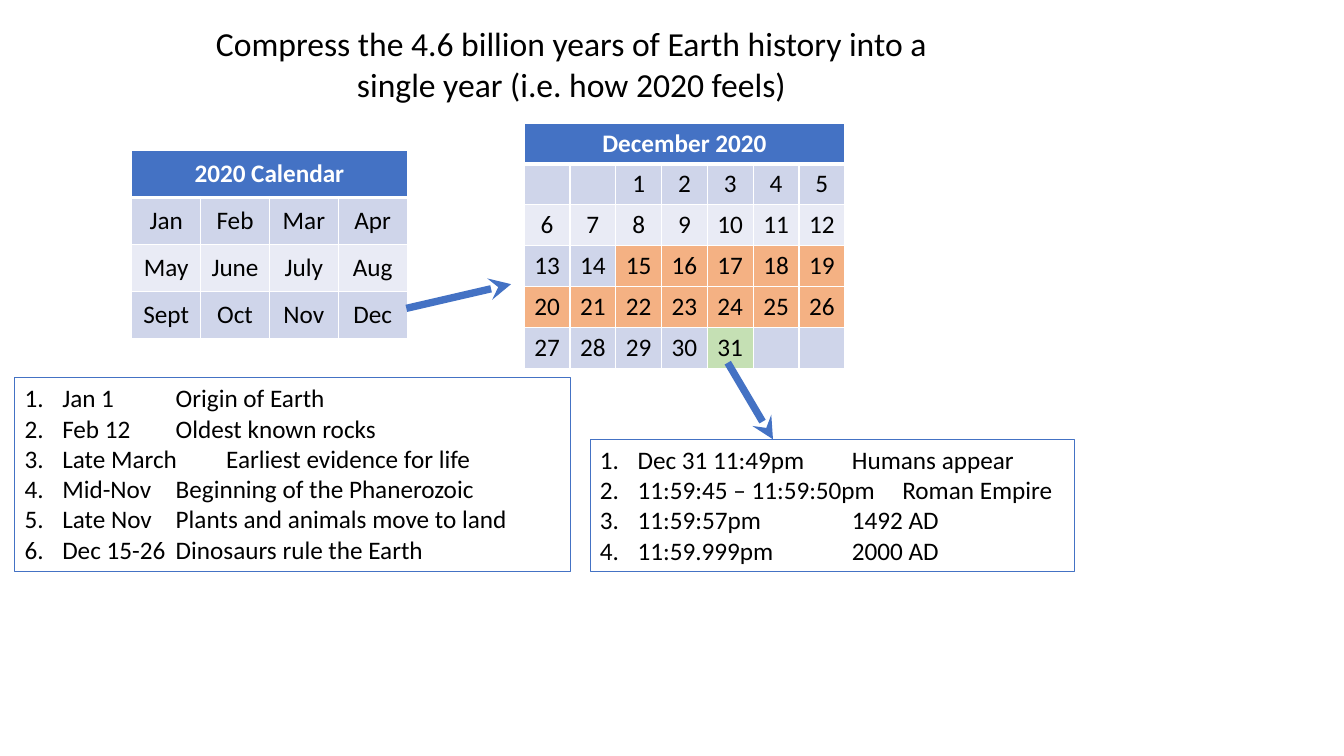
from dataclasses import dataclass

from lxml.etree import SubElement
from pptx import Presentation
from pptx.dml.color import RGBColor
from pptx.enum.shapes import MSO_CONNECTOR as Connector
from pptx.enum.text import MSO_ANCHOR as Anchor, MSO_AUTO_SIZE as AutoSize, PP_ALIGN as Align
from pptx.oxml.ns import qn
from pptx.util import Cm, Pt

TITLE = ("Compress the 4.6 billion years of Earth history into a single year "
         "(i.e. how 2020 feels)")
MONTHS = [
    ["Jan", "Feb", "Mar", "Apr"],
    ["May", "June", "July", "Aug"],
    ["Sept", "Oct", "Nov", "Dec"],
]
FIRST_WEEKDAY, DAYS, WEEK = 2, 31, 7
DINOSAUR_DAYS = range(15, 27)
LAST_DAY = 31

# Tabs move to default stops, one inch apart.
YEAR_EVENTS = [
    "Jan 1\t\tOrigin of Earth",
    "Feb 12\tOldest known rocks",
    "Late March\tEarliest evidence for life",
    "Mid-Nov\tBeginning of the Phanerozoic",
    "Late Nov\tPlants and animals move to land",
    "Dec 15-26\tDinosaurs rule the Earth",
]
LAST_DAY_EVENTS = [
    "Dec 31 11:49pm\tHumans appear",
    "11:59:45 – 11:59:50pm\tRoman Empire",
    "11:59:57pm\t\t1492 AD",
    "11:59.999pm\t\t2000 AD",
]

# Left, top, width, height in centimetres
TITLE_BOX = (4.29, 0.46, 20.22, 2.31)
YEAR_BOX = (3.32, 3.8, 6.94, 4.72)
DECEMBER_BOX = (13.21, 3.1, 8.08, 6.1)
YEAR_EVENTS_BOX = (0.37, 9.52, 14.02, 4.88)
LAST_DAY_EVENTS_BOX = (14.87, 11.07, 12.22, 3.33)
# Start and end points in centimetres
ARROWS = [(10.24, 7.77, 12.88, 7.16), (18.34, 9.14, 19.48, 11.07)]
LIST_INDENT = Cm(0.95)


@dataclass(frozen=True)
class Theme:
    font: str = "Calibri"
    title_size: int = 24
    body_size: int = 18
    text: str = "000000"
    white: str = "FFFFFF"
    accent: str = "4472C4"
    bands: tuple = ("CFD5EA", "E9EBF5")
    dinosaurs: str = "F4B183"
    last_day: str = "C5E0B4"


THEME = Theme()


def color(value):
    return RGBColor.from_string(value)


def lengths(box):
    return [Cm(value) for value in box]


def add_run(paragraph, text, size=THEME.body_size, fill=THEME.text, bold=False):
    run = paragraph.add_run()
    run.text = text
    run.font.name = THEME.font
    run.font.size = Pt(size)
    run.font.bold = bold
    run.font.color.rgb = color(fill)


def set_borders(cell, top, bottom):
    """Give a cell white borders; top and bottom widths are in points."""
    properties = cell._tc.get_or_add_tcPr()
    widths = {"a:lnL": 1, "a:lnR": 1, "a:lnT": top, "a:lnB": bottom}
    for position, (tag, width) in enumerate(widths.items()):
        line = properties.makeelement(qn(tag), {"w": str(Pt(width))})
        fill = SubElement(line, qn("a:solidFill"))
        SubElement(fill, qn("a:srgbClr"), val=THEME.white)
        properties.insert(position, line)


def fill_cell(cell, text, fill, text_color=THEME.text, bold=False):
    cell.fill.solid()
    cell.fill.fore_color.rgb = color(fill)
    cell.vertical_anchor = Anchor.MIDDLE
    cell.margin_left = cell.margin_right = 0
    if text:
        paragraph = cell.text_frame.paragraphs[0]
        paragraph.alignment = Align.CENTER
        add_run(paragraph, text, fill=text_color, bold=bold)


def add_calendar(slide, heading, rows, box, highlights):
    column_count = len(rows[0])
    left, top, width, height = lengths(box)
    table = slide.shapes.add_table(len(rows) + 1, column_count, left, top, width, height).table
    table.horz_banding = False
    for column in table.columns:
        column.width = width // column_count
    for row in table.rows:
        row.height = height // (len(rows) + 1)
    table.cell(0, 0).merge(table.cell(0, column_count - 1))
    fill_cell(table.cell(0, 0), heading, THEME.accent, THEME.white, bold=True)
    for column in range(column_count):
        set_borders(table.cell(0, column), top=1, bottom=3)
    for row_number, row in enumerate(rows, start=1):
        band = THEME.bands[(row_number - 1) % 2]
        for column, text in enumerate(row):
            cell = table.cell(row_number, column)
            fill_cell(cell, text, highlights.get(text, band))
            set_borders(cell, top=3 if row_number == 1 else 1, bottom=1)


def add_event_list(slide, events, box):
    shape = slide.shapes.add_textbox(*lengths(box))
    shape.line.color.rgb = color(THEME.accent)
    shape.line.width = Pt(0.75)
    frame = shape.text_frame
    frame.word_wrap = True
    frame.margin_right = 0
    for number, event in enumerate(events):
        paragraph = frame.add_paragraph() if number else frame.paragraphs[0]
        properties = paragraph._p.get_or_add_pPr()
        properties.set("marL", str(LIST_INDENT))
        properties.set("indent", str(-LIST_INDENT))
        SubElement(properties, qn("a:buFont"), typeface="+mj-lt")
        SubElement(properties, qn("a:buAutoNum"), type="arabicPeriod")
        add_run(paragraph, event)


def add_arrow(slide, points):
    arrow = slide.shapes.add_connector(Connector.STRAIGHT, *lengths(points))
    arrow.line.color.rgb = color(THEME.accent)
    arrow.line.width = Pt(5.25)
    SubElement(arrow.line._get_or_add_ln(), qn("a:tailEnd"), type="stealth")
    SubElement(arrow._element.spPr, qn("a:effectLst"))


def add_title(slide):
    title = slide.shapes.title
    title.left, title.top, title.width, title.height = lengths(TITLE_BOX)
    frame = title.text_frame
    frame.word_wrap = True
    frame.auto_size = AutoSize.NONE
    frame.vertical_anchor = Anchor.TOP
    paragraph = frame.paragraphs[0]
    paragraph.alignment = Align.CENTER
    add_run(paragraph, TITLE, size=THEME.title_size)


def december_weeks():
    days = [""] * FIRST_WEEKDAY + [str(day) for day in range(1, DAYS + 1)]
    days += [""] * (-len(days) % WEEK)
    return [days[start:start + WEEK] for start in range(0, len(days), WEEK)]


def main():
    presentation = Presentation()
    presentation.slide_width, presentation.slide_height = Cm(33.87), Cm(19.05)
    slide = presentation.slides.add_slide(presentation.slide_layouts.get_by_name("Title Only"))
    highlights = {str(day): THEME.dinosaurs for day in DINOSAUR_DAYS}
    highlights[str(LAST_DAY)] = THEME.last_day

    add_title(slide)
    add_calendar(slide, "2020 Calendar", MONTHS, YEAR_BOX, {})
    add_calendar(slide, "December 2020", december_weeks(), DECEMBER_BOX, highlights)
    for points in ARROWS:
        add_arrow(slide, points)
    add_event_list(slide, YEAR_EVENTS, YEAR_EVENTS_BOX)
    add_event_list(slide, LAST_DAY_EVENTS, LAST_DAY_EVENTS_BOX)
    presentation.save("out.pptx")


if __name__ == "__main__":
    main()
